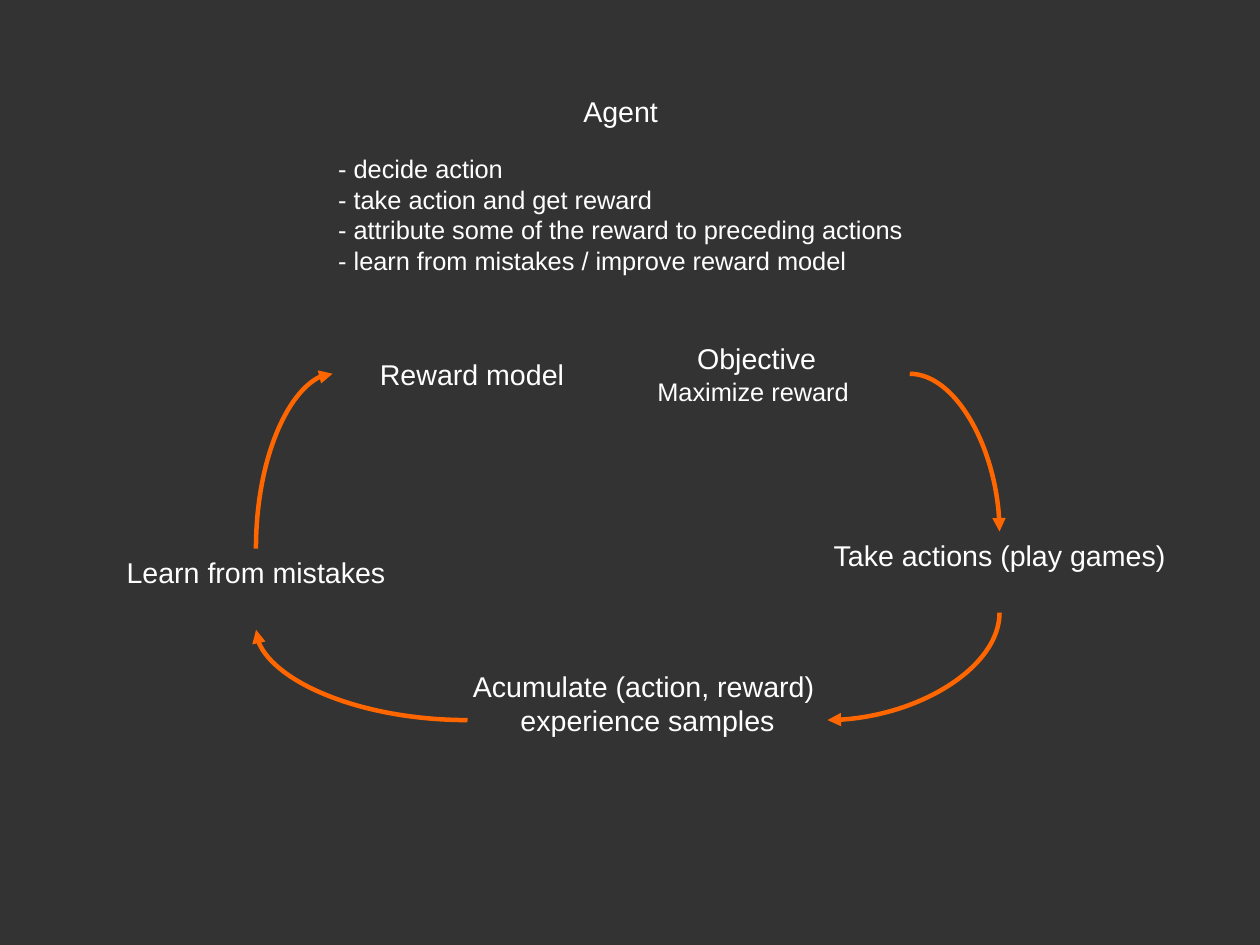
from dataclasses import dataclass

from lxml import etree
from pptx import Presentation
from pptx.dml.color import RGBColor
from pptx.enum.shapes import MSO_CONNECTOR, MSO_SHAPE
from pptx.enum.text import MSO_ANCHOR, PP_ALIGN
from pptx.oxml.ns import qn
from pptx.util import Inches, Pt

CURVE = MSO_CONNECTOR.CURVE
RECTANGLE = MSO_SHAPE.RECTANGLE
MIDDLE = MSO_ANCHOR.MIDDLE
LEFT, CENTER = PP_ALIGN.LEFT, PP_ALIGN.CENTER
TOP_SITE, LEFT_SITE, BOTTOM_SITE, RIGHT_SITE = range(4)
CM_PER_INCH = 2.54


@dataclass(frozen=True)
class Theme:
    font: str = "Arial"
    background: RGBColor = RGBColor(0x33, 0x33, 0x33)
    text: RGBColor = RGBColor(0xFF, 0xFF, 0xFF)
    arrow: RGBColor = RGBColor(0xFF, 0x66, 0x00)
    heading: int = 18
    detail: int = 16
    arrow_width: float = 2.83


THEME = Theme()


def add_line(para, text, size, alignment=CENTER):
    para.alignment = alignment
    span = para.add_run()
    span.text = text
    span.font.name = THEME.font
    span.font.size = Pt(size)
    span.font.color.rgb = THEME.text


def add_box(page, left, top, width, height, headings, details=(),
            alignment=CENTER, gap=0, bottom=0.05):
    box = page.shapes.add_shape(
        RECTANGLE, Inches(left), Inches(top), Inches(width), Inches(height))
    box.shadow.inherit = False
    box.fill.solid()
    box.fill.fore_color.rgb = THEME.background
    box.line.fill.background()
    frame = box.text_frame
    frame.word_wrap = False
    frame.vertical_anchor = MIDDLE
    frame.margin_left = frame.margin_right = Inches(0.1)
    frame.margin_top = Inches(0.05)
    frame.margin_bottom = Inches(bottom)
    for index, heading in enumerate(headings):
        para = frame.add_paragraph() if index else frame.paragraphs[0]
        add_line(para, heading, THEME.heading)
    for index, detail in enumerate(details):
        para = frame.add_paragraph()
        para.space_before = Pt(0 if index else gap)
        add_line(para, detail, THEME.detail, alignment)
    return box


def bend_quarter(arrow, starts_vertical):
    across = arrow.end_x - arrow.begin_x
    down = arrow.end_y - arrow.begin_y
    center_x = (arrow.begin_x + arrow.end_x) // 2
    center_y = (arrow.begin_y + arrow.end_y) // 2
    width, height = abs(across), abs(down)
    if starts_vertical:
        width, height = height, width
        turn, flipped = 90, down < 0
    else:
        turn, flipped = (0 if across > 0 else 180), False
    arrow.left, arrow.top = center_x - width // 2, center_y - height // 2
    arrow.width, arrow.height = width, height
    properties = arrow._element.spPr
    frame = properties.find(qn("a:xfrm"))
    frame.set("rot", str(turn * 60000))
    for flip in ("flipH", "flipV"):
        frame.set(flip, "1" if flipped else "0")
    properties.find(qn("a:prstGeom")).set("prst", "curvedConnector2")


def add_arrow(page, source, source_site, target, target_site):
    arrow = page.shapes.add_connector(CURVE, 0, 0, 0, 0)
    arrow.begin_connect(source, source_site)
    arrow.end_connect(target, target_site)
    bend_quarter(arrow, source_site in (TOP_SITE, BOTTOM_SITE))
    arrow.line.color.rgb = THEME.arrow
    arrow.line.width = Pt(THEME.arrow_width)
    properties = arrow._element.spPr
    outline = properties.find(qn("a:ln"))
    etree.SubElement(outline, qn("a:tailEnd"), type="triangle")
    etree.SubElement(properties, qn("a:effectLst"))


def main():
    deck = Presentation()
    deck.slide_width = Inches(28 / CM_PER_INCH)
    deck.slide_height = Inches(21 / CM_PER_INCH)
    page = deck.slides.add_slide(deck.slide_layouts[6])
    page.background.fill.solid()
    page.background.fill.fore_color.rgb = THEME.background

    add_box(page, 2.91, 0.71, 5.04, 2.28, ["Agent"], [
        "- decide action",
        "- take action and get reward",
        "- attribute some of the reward to preceding actions",
        "- learn from mistakes / improve reward model",
    ], alignment=LEFT, gap=16, bottom=0.52)
    reward = add_box(page, 2.91, 2.68, 2.44, 1.18, ["Reward model"])
    objective = add_box(page, 5.28, 2.68, 2.68, 1.18,
                        ["Objective"], ["Maximize reward "])
    actions = add_box(page, 7.17, 4.65, 3.15, 0.71,
                      ["Take actions (play games)"], bottom=0.35)
    mistakes = add_box(page, 0.94, 4.8, 2.6, 0.71,
                       ["Learn from mistakes"], bottom=0.35)
    samples = add_box(page, 4.09, 5.75, 3.15, 1.1,
                      ["Acumulate (action, reward) ", "experience samples"],
                      bottom=0.35)

    add_arrow(page, objective, RIGHT_SITE, actions, TOP_SITE)
    add_arrow(page, actions, BOTTOM_SITE, samples, RIGHT_SITE)
    add_arrow(page, samples, LEFT_SITE, mistakes, BOTTOM_SITE)
    add_arrow(page, mistakes, TOP_SITE, reward, LEFT_SITE)

    deck.save("out.pptx")


if __name__ == "__main__":
    main()
